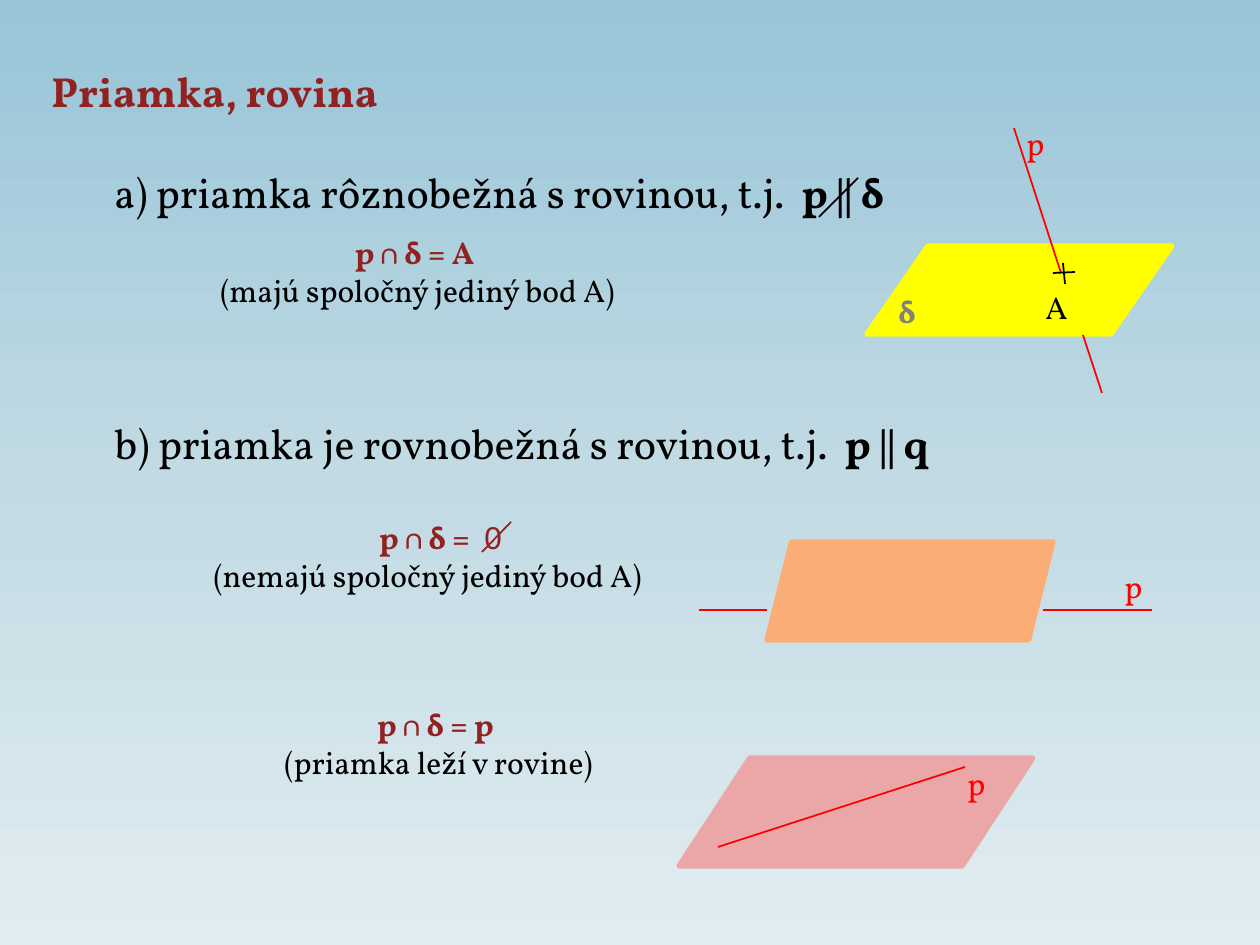
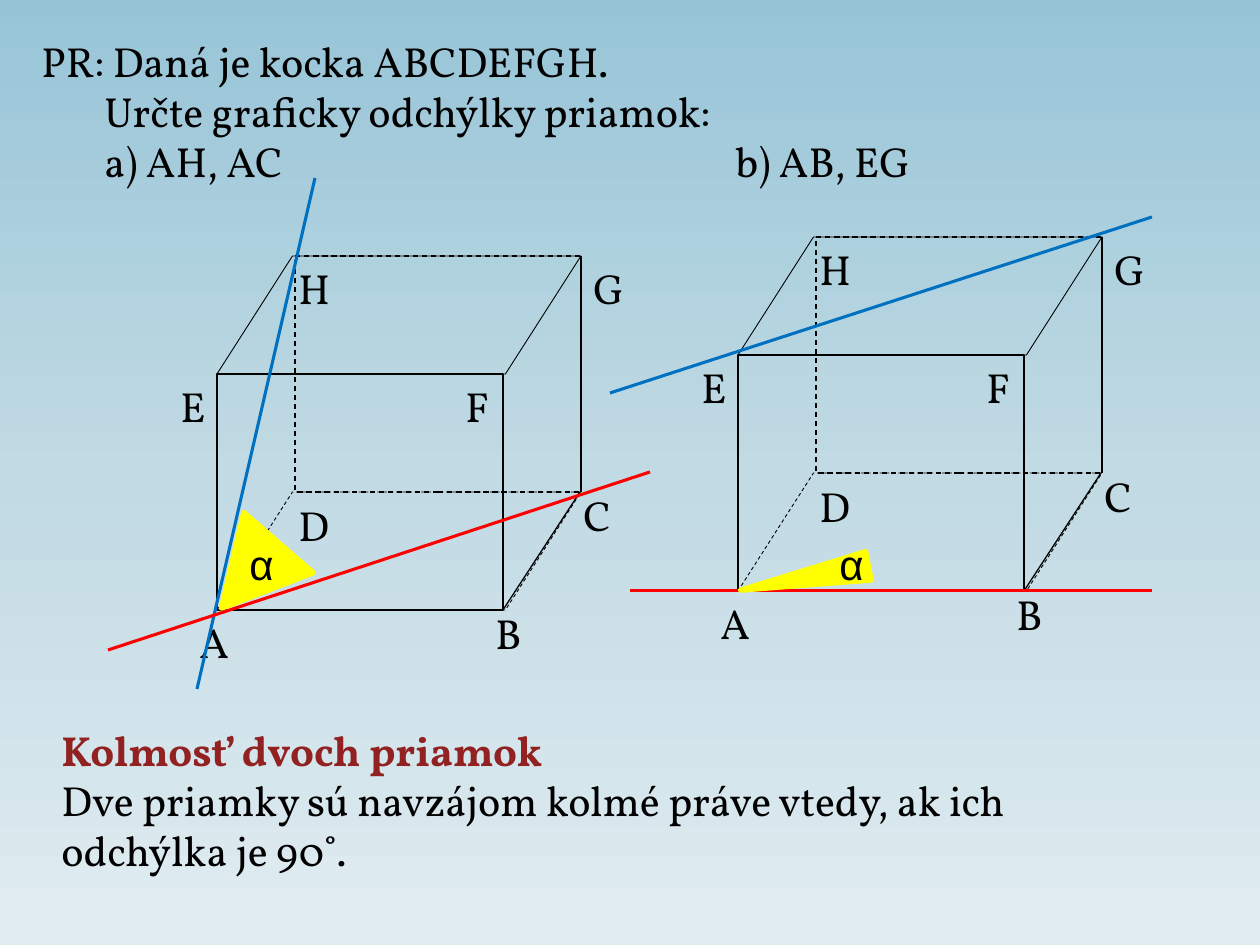
import pptx
import pptx.util
import pptx.dml.color
import pptx.enum.dml
import pptx.enum.shapes
import pptx.enum.text
import copy
import lxml.etree

SCALE = 914400 / 126
INDENT = 63
A = "{http://schemas.openxmlformats.org/drawingml/2006/main}"
Pt = pptx.util.Pt
SHAPE = pptx.enum.shapes.MSO_SHAPE
STRAIGHT = pptx.enum.shapes.MSO_CONNECTOR.STRAIGHT
CENTER = pptx.enum.text.PP_ALIGN.CENTER
DASH = pptx.enum.dml.MSO_LINE.DASH

COLOURS = {
    "sky": "97C5D7", "mist": "C1DAE4", "haze": "E1ECF1",
    "maroon": "922222", "black": "000000", "grey": "808080",
    "red": "FF0000", "blue": "0070C0", "yellow": "FFFF00",
    "orange": "FAAE76", "pink": "EBA7A8",
}
RGB = {name: pptx.dml.color.RGBColor.from_string(value) for name, value in COLOURS.items()}

FORMATS = {
    "body": {"name": "Vollkorn", "size": Pt(24), "bold": False},
    "strong": {"name": "Vollkorn", "size": Pt(24), "bold": True},
    "small": {"name": "Vollkorn", "size": Pt(18), "bold": False},
    "small strong": {"name": "Vollkorn", "size": Pt(18), "bold": True},
    "empty set": {"name": "Arial", "size": Pt(18), "bold": False},
    "angle": {"name": "Arial", "size": Pt(24), "bold": False},
}


def write(slide, box, paragraphs):
    frame = slide.shapes.add_textbox(*[round(n * SCALE) for n in box]).text_frame
    frame.word_wrap = True
    for number, (layout, runs) in enumerate(paragraphs):
        paragraph = frame.add_paragraph() if number else frame.paragraphs[0]
        properties = paragraph._p.get_or_add_pPr()
        properties.set("marL", "0")
        properties.set("indent", str(round(layout.get("indent", 0) * SCALE)))
        for key in ("alignment", "space_before"):
            if key in layout:
                setattr(paragraph, key, layout[key])
        for text, style, colour in runs:
            run = paragraph.add_run()
            run.text = text
            for key, value in FORMATS[style].items():
                setattr(run.font, key, value)
            run.font.color.rgb = RGB[colour]
    return frame


def draw(slide, kind, box, colour, width, fill=None, dash=None):
    measures = [round(n * SCALE) for n in box]
    if kind is STRAIGHT:
        item = slide.shapes.add_connector(kind, *measures)
        lxml.etree.SubElement(item._element.spPr, A + "effectLst")
    else:
        item = slide.shapes.add_shape(kind, *measures)
        item.shadow.inherit = False
        if fill:
            item.fill.solid()
            item.fill.fore_color.rgb = RGB[fill]
        else:
            item.fill.background()
    item.line.color.rgb = RGB[colour]
    item.line.width = Pt(width)
    if dash:
        item.line.dash_style = dash
    lxml.etree.SubElement(item.line._get_or_add_ln(), A + "round")
    return item


deck = pptx.Presentation()
deck.slide_width = round(1260 * SCALE)
deck.slide_height = round(945 * SCALE)

backdrop = deck.slide_master.background.fill
backdrop.gradient()
backdrop.gradient_angle = 270
first_stop = backdrop.gradient_stops[0]._gs
first_stop.addnext(copy.deepcopy(first_stop))
for stop, colour, position in zip(backdrop.gradient_stops, ("sky", "mist", "haze"), (0, 0.5, 1)):
    stop.color.rgb = RGB[colour]
    stop.position = position

line_and_plane = deck.slides.add_slide(deck.slide_layouts[6])

planes = [
    (SHAPE.FLOWCHART_DATA, (867, 246, 305, 88), "yellow"),
    (SHAPE.PARALLELOGRAM, (767, 542, 286, 98), "orange"),
    (SHAPE.FLOWCHART_DATA, (679, 758, 354, 108), "pink"),
]
for kind, box, colour in planes:
    draw(line_and_plane, kind, box, colour, 3, fill=colour)

cases = write(line_and_plane, (39, 59, 1142, 726), [
    ({}, [("Priamka, rovina", "strong", "maroon")]),
    ({"indent": INDENT, "space_before": Pt(29)}, [
        ("a) priamka rôznobežná s rovinou, t.j.", "body", "black"),
        (" ", "body", "black"),
        ("p || δ", "strong", "black")]),
    ({"indent": INDENT, "space_before": Pt(115)}, [
        ("b) priamka je rovnobežná s rovinou, t.j.", "body", "black"),
        (" ", "body", "black"),
        ("p || q", "strong", "black")]),
])
for case in cases.paragraphs[1:]:
    case.runs[1]._r.get_or_add_rPr().set("spc", "500")

intersections = [
    (176, 227, "p ∩ δ = A ", "(majú spoločný jediný bod A)"),
    (186, 512, "p ∩ δ = ", "(nemajú spoločný jediný bod A)"),
    (197, 699, "p ∩ δ = p ", "(priamka leží v rovine)"),
]
for left, top, formula, meaning in intersections:
    write(line_and_plane, (left, top, 483, 89), [
        ({"alignment": CENTER}, [(formula, "small strong", "maroon")]),
        ({"alignment": CENTER}, [(meaning, "small", "black")]),
    ])

strokes = [
    ((819, 217, 858, 178), "black"),
    ((1014, 128, 1061, 273), "red"),
    ((1083, 335, 1102, 393), "red"),
    ((1063, 263, 1065, 284), "black"),
    ((1075, 272, 1053, 273), "black"),
    ((511, 522, 482, 552), "maroon"),
    ((1043, 610, 1152, 610), "red"),
    ((699, 610, 767, 610), "red"),
    ((718, 847, 965, 767), "red"),
]
for ends, colour in strokes:
    draw(line_and_plane, STRAIGHT, ends, colour, 1)

marks = [
    ("δ", (886, 286, 39, 50), "small strong", "grey"),
    ("p", (1014, 118, 59, 50), "small", "red"),
    ("A", (1033, 282, 59, 50), "small", "black"),
    ("0", (472, 512, 39, 50), "empty set", "maroon"),
    ("p", (1112, 561, 59, 50), "small", "red"),
    ("p", (955, 758, 59, 50), "small", "red"),
]
for text, box, style, colour in marks:
    write(line_and_plane, box, [({}, [(text, style, colour)])])

angles = deck.slides.add_slide(deck.slide_layouts[6])

write(angles, (49, 718, 1200, 165), [
    ({}, [("Kolmosť dvoch priamok", "strong", "maroon")]),
    ({}, [("Dve priamky sú navzájom kolmé práve vtedy, ak ich", "body", "black")]),
    ({}, [("odchýlka je 90˚.", "body", "black")]),
])
write(angles, (29, 29, 1201, 165), [
    ({}, [("PR: Daná je kocka ABCDEFGH.", "body", "black")]),
    ({"indent": INDENT}, [("Určte graficky odchýlky priamok:", "body", "black")]),
    ({"indent": INDENT}, [("a) AH, AC", "body", "black")]),
])
write(angles, (723, 129, 300, 63), [({}, [("b) AB, EG", "body", "black")])])

FRONT, EDGE, DEPTH, SHIFT = 286, 236, 118, 78
SPAN = FRONT + SHIFT
vertices = {
    "A": (-30, 354), "B": (266, 345), "C": (354, 227), "D": (69, 237),
    "E": (-49, 118), "F": (236, 118), "G": (364, 0), "H": (69, 0),
}
cubes = [
    {"corner": (738, 237), "red": (630, 591, 1152, 591), "blue": (610, 393, 1152, 217),
     "wedge": (790, 513, 29, 130), "turn": 79.2, "alpha": (827, 532)},
    {"corner": (217, 256), "red": (108, 650, 650, 472), "blue": (197, 689, 315, 178),
     "wedge": (204, 532, 92, 87), "turn": 41, "alpha": (237, 532)},
]
for cube in cubes:
    x, y = cube["corner"]
    draw(angles, STRAIGHT, (x + SPAN, y, x + SPAN, y + EDGE), "black", 0.75)
    faces = [
        (SHAPE.PARALLELOGRAM, (x, y + EDGE, SPAN, DEPTH), 0.5, DASH),
        (SHAPE.RECTANGLE, (x, y + DEPTH, FRONT, EDGE), 0.75, None),
        (SHAPE.PARALLELOGRAM, (x, y, SPAN, DEPTH), 0.5, None),
        (SHAPE.RECTANGLE, (x + SHIFT, y, FRONT, EDGE), 0.75, DASH),
    ]
    for kind, box, width, dash in faces:
        face = draw(angles, kind, box, "black", width, dash=dash)
        if kind is SHAPE.PARALLELOGRAM:
            face.adjustments[0] = 0.64
    draw(angles, STRAIGHT, (x + SPAN - 1, y + EDGE, x + FRONT, y + EDGE + DEPTH), "black", 0.75)
    for vertex, (dx, dy) in vertices.items():
        write(angles, (x + dx, y + dy, 49, 63), [({}, [(vertex, "body", "black")])])
    for colour in ("blue", "red"):
        draw(angles, STRAIGHT, cube[colour], colour, 1.75)
    wedge = draw(angles, SHAPE.FLOWCHART_MERGE, cube["wedge"], "yellow", 3, fill="yellow")
    wedge.rotation = cube["turn"]
    write(angles, (*cube["alpha"], 39, 64), [({}, [("α", "angle", "black")])])

deck.save("out.pptx")
